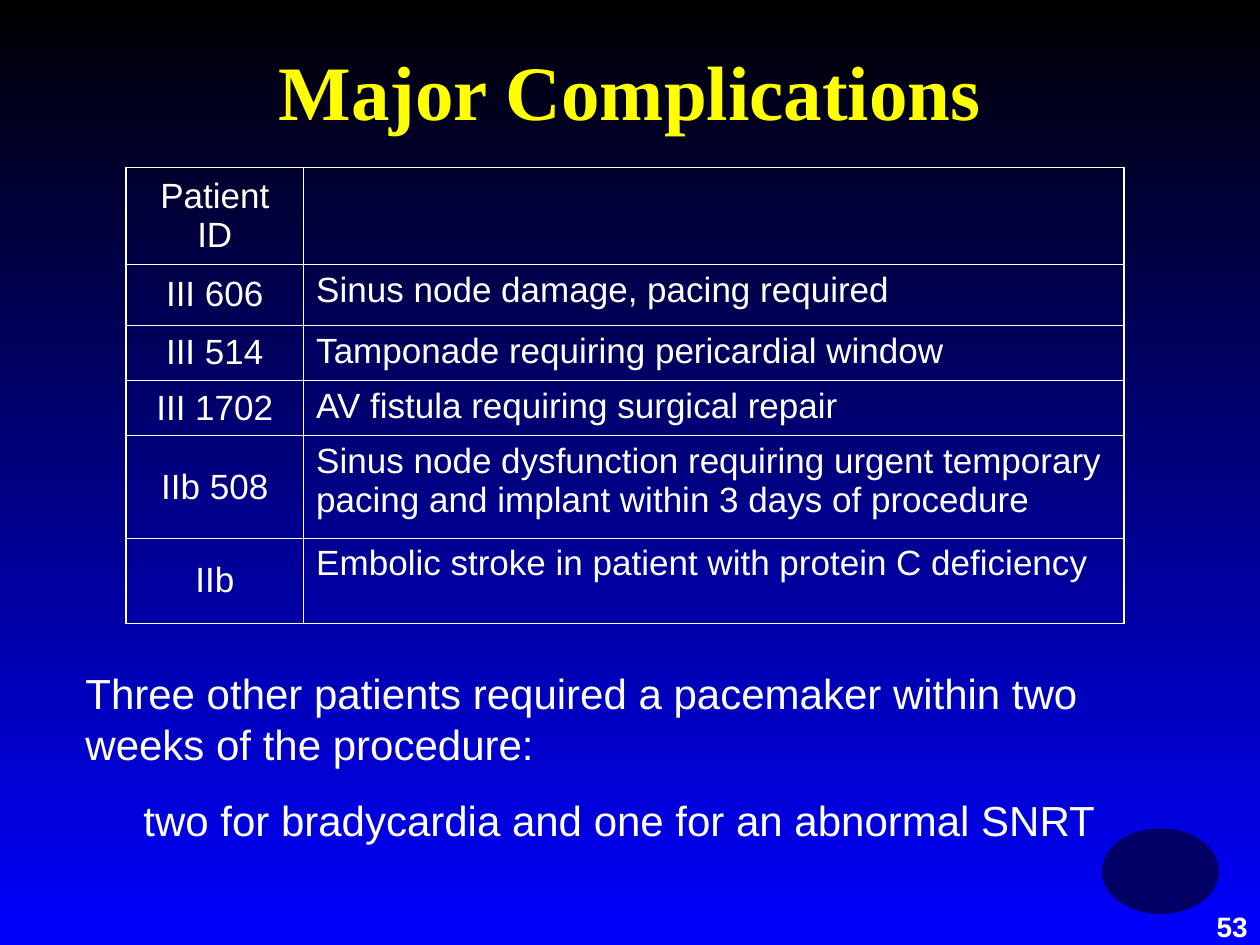
from lxml import etree
from pptx import Presentation
from pptx import util as u
from pptx.dml.color import RGBColor
from pptx.enum import shapes, text
from pptx.oxml import ns

BLACK = RGBColor(0x00, 0x00, 0x00)
BLUE = RGBColor(0x00, 0x00, 0xFF)
NAVY = RGBColor(0x00, 0x00, 0x66)
YELLOW = RGBColor(0xFF, 0xFF, 0x00)
WHITE = RGBColor(0xFF, 0xFF, 0xFF)

COLUMNS = [1.41, 6.51]
ROWS = [0.77, 0.48, 0.44, 0.44, 0.81, 0.68]
OUTER, INNER = 1.08, 0.45
COMPLICATIONS = [
    ("Patient ID", ""),
    ("III 606", "Sinus node damage, pacing required"),
    ("III 514", "Tamponade requiring pericardial window"),
    ("III 1702", "AV fistula requiring surgical repair"),
    ("IIb 508", "Sinus node dysfunction requiring urgent temporary "
                "pacing and implant within 3 days of procedure"),
    ("IIb", "Embolic stroke in patient with protein C deficiency"),
]


def inches(*lengths):
    return [u.Inches(length) for length in lengths]


def style(para, size, color=WHITE, font="Arial", bold=False, align=text.PP_ALIGN.LEFT):
    para.alignment = align
    for span in para.runs:
        span.font.name = font
        span.font.size = u.Pt(size)
        span.font.bold = bold
        span.font.color.rgb = color


def add_text(page, place, lines, size, anchor=text.MSO_ANCHOR.TOP, **look):
    box = page.shapes.add_textbox(*inches(*place))
    frame = box.text_frame
    frame.word_wrap = True
    frame.vertical_anchor = anchor
    frame.text = "\n".join(lines)
    for para in frame.paragraphs:
        style(para, size, **look)
    return frame


def add_background(page):
    fill = page.background.fill
    fill.gradient()
    fill.gradient_angle = 270
    for stop, color in zip(fill.gradient_stops, (BLACK, BLUE)):
        stop.color.rgb = color


def add_ellipse(page):
    ellipse = page.shapes.add_shape(shapes.MSO_SHAPE.OVAL, *inches(8.75, 6.58, 0.92, 0.67))
    ellipse.shadow.inherit = False
    ellipse.fill.solid()
    ellipse.fill.fore_color.rgb = NAVY
    ellipse.line.color.rgb = NAVY
    ellipse.line.width = u.Pt(0.75)


def add_borders(cell, widths):
    """Draw the left, right, top and bottom lines, in that order."""
    props = cell._tc.get_or_add_tcPr()
    for side, width in zip("LRTB", widths):
        line = etree.SubElement(props, ns.qn(f"a:ln{side}"), w=str(u.Pt(width)))
        fill = etree.SubElement(line, ns.qn("a:solidFill"))
        etree.SubElement(fill, ns.qn("a:srgbClr"), val=str(WHITE))


def add_complications(page):
    place = inches(1, 1.33, sum(COLUMNS), sum(ROWS))
    table = page.shapes.add_table(len(ROWS), len(COLUMNS), *place).table
    table.first_row = table.horz_banding = False
    for column, width in zip(table.columns, COLUMNS):
        column.width = u.Inches(width)
    for row, height in zip(table.rows, ROWS):
        row.height = u.Inches(height)
    for r, entries in enumerate(COMPLICATIONS):
        for c, entry in enumerate(entries):
            cell = table.cell(r, c)
            edges = (c == 0, c == len(COLUMNS) - 1, r == 0, r == len(ROWS) - 1)
            add_borders(cell, [OUTER if edge else INNER for edge in edges])
            cell.fill.background()
            cell.text = entry
            is_id = c == 0
            cell.vertical_anchor = text.MSO_ANCHOR.MIDDLE if is_id else text.MSO_ANCHOR.TOP
            style(cell.text_frame.paragraphs[0], 20,
                  align=text.PP_ALIGN.CENTER if is_id else text.PP_ALIGN.LEFT)


def add_pacemaker_note(page):
    frame = add_text(page, (0.58, 5.25, 8.83, 1.51), [
        "Three other patients required a pacemaker within two weeks of the procedure:",
        "two for bradycardia and one for an abnormal SNRT",
    ], 24)
    detail = frame.paragraphs[1]
    detail.space_before = u.Pt(15)
    detail._p.get_or_add_pPr().set("marL", str(u.Inches(0.46)))


def main():
    deck = Presentation()
    deck.slide_width, deck.slide_height = inches(10, 7.5)
    page = deck.slides.add_slide(deck.slide_layouts[6])
    add_background(page)
    add_ellipse(page)
    add_text(page, (0.75, 0.25, 8.5, 0.92), ["Major Complications"], 44,
             anchor=text.MSO_ANCHOR.MIDDLE, color=YELLOW, font="Times New Roman",
             bold=True, align=text.PP_ALIGN.CENTER)
    add_complications(page)
    add_pacemaker_note(page)
    add_text(page, (9.33, 7.17, 0.67, 0.5), ["53"], 16, bold=True,
             align=text.PP_ALIGN.RIGHT)
    deck.save("out.pptx")


if __name__ == "__main__":
    main()
